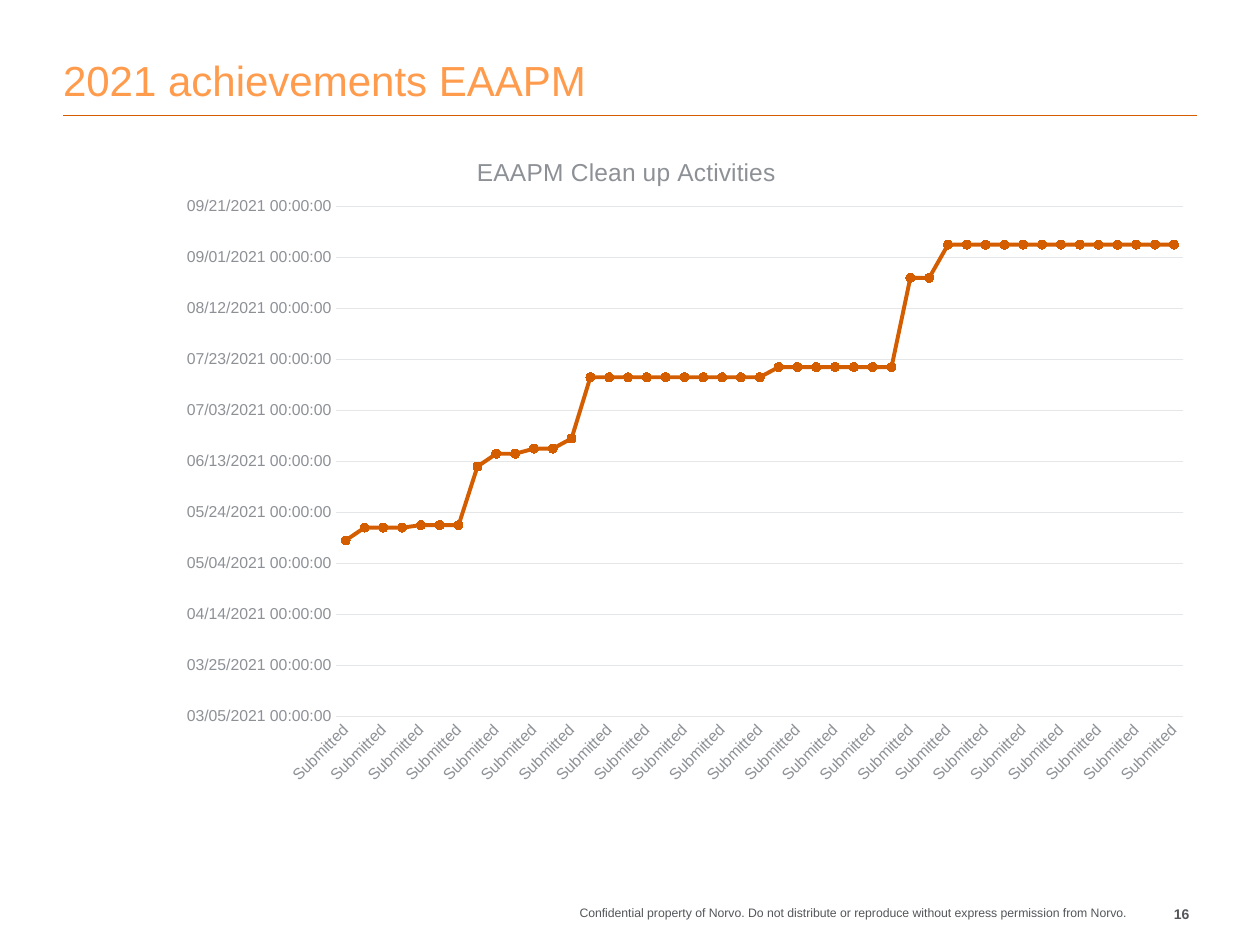
from lxml import etree
from pptx import Presentation
from pptx.chart.data import CategoryChartData
from pptx.dml.color import RGBColor
from pptx.enum.chart import XL_CHART_TYPE, XL_MARKER_STYLE, XL_TICK_MARK
from pptx.enum.shapes import MSO_CONNECTOR
from pptx.enum.text import MSO_ANCHOR, PP_ALIGN
from pptx.oxml import parse_xml
from pptx.oxml.ns import nsdecls, qn
from pptx.util import Cm, Pt

LINE_CHART = XL_CHART_TYPE.LINE_MARKERS_STACKED
CIRCLE = XL_MARKER_STYLE.CIRCLE
NO_TICK = XL_TICK_MARK.NONE
STRAIGHT = MSO_CONNECTOR.STRAIGHT
LEFT, RIGHT = PP_ALIGN.LEFT, PP_ALIGN.RIGHT
TOP, BOTTOM = MSO_ANCHOR.TOP, MSO_ANCHOR.BOTTOM

FONT = "Arial"
ORANGE, LIGHT_ORANGE = "D45D00", "FF9B4C"
DARK_GREY, GREY, PALE_GREY = "53565A", "8D9196", "E5E6E7"

# Date serial and number of consecutive submissions on that date
SUBMISSIONS = [
    (44329, 1), (44334, 3), (44335, 3), (44358, 1), (44363, 2), (44365, 2),
    (44369, 1), (44393, 10), (44397, 7), (44432, 2), (44445, 13),
]


def rgb(hex_color):
    """Turn a hex string into a colour."""
    return RGBColor.from_string(hex_color)


def style_font(font, size, color, bold=False):
    """Set typeface, size, colour and weight."""
    font.name, font.size, font.bold = FONT, Pt(size), bold
    font.color.rgb = rgb(color)


def style_line(line, color, width):
    """Set colour and width of a line."""
    line.fill.solid()
    line.fill.fore_color.rgb = rgb(color)
    line.width = Pt(width)


def fill_text(sp, text, size, color, align, anchor, wrap, bold=False):
    """Write one paragraph into a shape without insets."""
    tf = sp.text_frame
    tf.margin_left = tf.margin_right = tf.margin_top = tf.margin_bottom = 0
    tf.word_wrap, tf.vertical_anchor = wrap, anchor
    tf.text = text
    p = tf.paragraphs[0]
    p.alignment = align
    style_font(p.runs[0].font, size, color, bold)
    return p


def add_title(s, text):
    """Place the title and the rule below it."""
    sp = s.shapes.title
    sp.left, sp.top, sp.width, sp.height = Cm(1.27), Cm(0.43), Cm(22.86), Cm(1.7)
    p = fill_text(sp, text, 24, LIGHT_ORANGE, LEFT, BOTTOM, True)
    p.line_spacing = 0.9
    rule = s.shapes.add_connector(STRAIGHT, Cm(1.27), Cm(2.33), Cm(24.13), Cm(2.33))
    style_line(rule.line, ORANGE, 1)
    etree.SubElement(rule._element.spPr, qn("a:effectLst"))
    rule._element.remove(rule._element.find(qn("p:style")))


def add_footer_text(s, left, width, text, size, bold=False):
    """Add a right-aligned text to the footer row."""
    sp = s.shapes.add_textbox(Cm(left), Cm(18.25), Cm(width), Cm(0.58))
    fill_text(sp, text, size, DARK_GREY, RIGHT, TOP, False, bold)


def manual_layout(x, y, w=None, h=None):
    """Build a chart layout in fractions of the chart area."""
    parts = [("xMode", "edge"), ("yMode", "edge"), ("x", x), ("y", y)]
    if w is not None:
        parts = [("layoutTarget", "inner")] + parts + [("w", w), ("h", h)]
    body = "".join(f'<c:{tag} val="{val}"/>' for tag, val in parts)
    return parse_xml(f"<c:layout {nsdecls('c')}><c:manualLayout>{body}"
                     "</c:manualLayout></c:layout>")


def place_layout(parent, layout, before):
    """Insert a layout ahead of a child, replacing any present one."""
    for old in parent.findall(qn("c:layout")):
        parent.remove(old)
    parent.find(qn(before)).addprevious(layout)


def style_axes(chart):
    """Format the category axis and the date scale."""
    cat, val = chart.category_axis, chart.value_axis
    for axis in (cat, val):
        axis.major_tick_mark = axis.minor_tick_mark = NO_TICK
        style_font(axis.tick_labels.font, 9, GREY)
    style_line(cat.format.line, PALE_GREY, 0.75)
    cat._element.find(qn("c:txPr")).find(qn("a:bodyPr")).set("rot", "-2700000")
    skip = parse_xml(f'<c:tickLblSkip {nsdecls("c")} val="2"/>')
    cat._element.find(qn("c:noMultiLvlLbl")).addprevious(skip)

    val.minimum_scale, val.maximum_scale, val.major_unit = 44260, 44460, 20
    val.format.line.fill.background()
    val.has_major_gridlines = True
    style_line(val.major_gridlines.format.line, PALE_GREY, 0.75)
    val.tick_labels.number_format = "mm/dd/yyyy\\ hh:mm:ss"
    val.tick_labels.number_format_is_linked = False


def add_activity_chart(s, title):
    """Add the line chart of submission dates."""
    dates = [date for date, count in SUBMISSIONS for _ in range(count)]
    data = CategoryChartData()
    data.categories = ["Submitted"] * len(dates)
    data.add_series("Series 1", dates)
    frame = s.shapes.add_chart(LINE_CHART, Cm(1.27), Cm(2.67), Cm(22.86), Cm(14.22), data)
    chart = frame.chart
    style_font(chart.font, 10, DARK_GREY)
    chart.has_legend = False
    chart.has_title = True
    chart.chart_title.text_frame.text = title
    style_font(chart.chart_title.text_frame.paragraphs[0].runs[0].font, 14, GREY)
    place_layout(chart.chart_title._element, manual_layout(0.361, 0.027), "c:overlay")
    plot_area = chart._chartSpace.chart.plotArea
    place_layout(plot_area, manual_layout(0.241, 0.105, 0.747, 0.723), "c:lineChart")
    style_axes(chart)

    plot = chart.plots[0]
    plot.vary_by_categories = False
    series = plot.series[0]
    series.smooth = False
    style_line(series.format.line, ORANGE, 2.25)
    marker = series.marker
    marker.style, marker.size = CIRCLE, 5
    marker.format.fill.solid()
    marker.format.fill.fore_color.rgb = rgb(ORANGE)
    style_line(marker.format.line, ORANGE, 0.75)


def main():
    """Build and save the slide."""
    prs = Presentation()
    prs.slide_width, prs.slide_height = Cm(25.4), Cm(19.05)
    s = prs.slides.add_slide(prs.slide_layouts[5])
    add_title(s, "2021 achievements EAAPM")
    add_activity_chart(s, "EAAPM Clean up Activities")
    add_footer_text(s, 8.46, 14.25, "Confidential property of Norvo. Do not distribute or "
                    "reproduce without express permission from Norvo.", 7)
    add_footer_text(s, 22.71, 1.27, "16", 8, bold=True)
    prs.save("out.pptx")


main()
